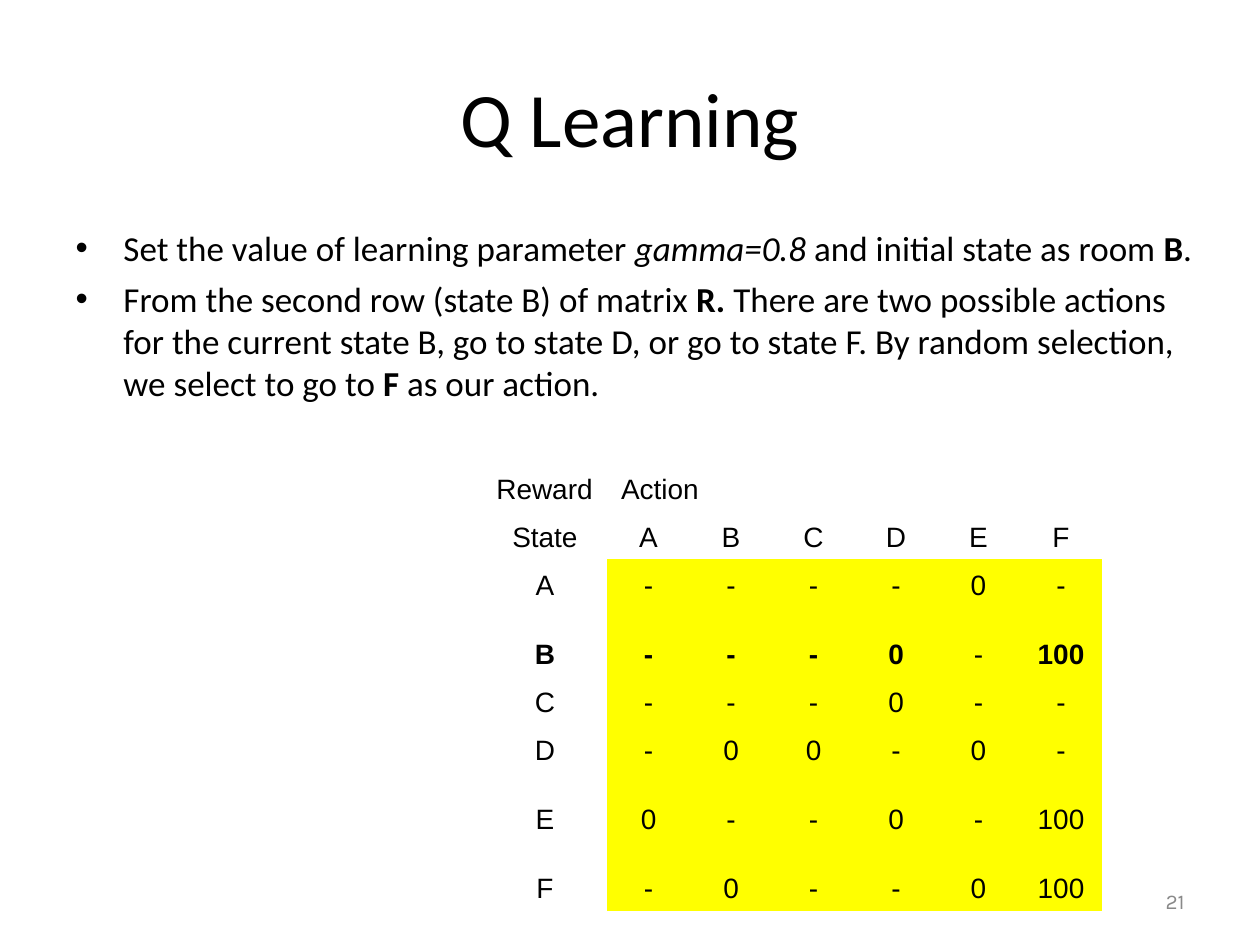
from dataclasses import dataclass
from typing import NamedTuple

from pptx import Presentation
from pptx import util as u
from pptx.dml.color import RGBColor
from pptx.enum import text as t
from pptx.oxml import ns
from lxml import etree


@dataclass(frozen=True)
class Theme:
    ink: str = "000000"
    grey: str = "898989"
    mark: str = "FFFF00"
    main: str = "Calibri"
    grid: str = "Arial"
    foot: str = "Karla"
    head: int = 44
    body: int = 20
    cell: int = 16
    page: int = 12


class Run(NamedTuple):
    text: str
    bold: bool = False
    italic: bool = False


class Box(NamedTuple):
    """Left, top, width and height as shares of the slide."""
    left: float
    top: float
    width: float
    height: float


THEME = Theme()
WIDE, HIGH = u.Inches(10), u.Inches(7.5)
NO_STYLE = "{2D5ABB26-0587-4C30-8999-92F81FD0307C}"
INDENT = u.Inches(0.38)

POINTS = [
    [Run("Set the value of learning parameter "), Run("gamma=0.8", italic=True),
     Run(" and initial state as room "), Run("B", bold=True), Run(".")],
    [Run("From the second row (state B) of matrix "), Run("R. ", bold=True),
     Run("There are two possible actions for the current state B, go to state D, "
         "or go to state F. By random selection, we select to go to "),
     Run("F", bold=True), Run(" as our action.")],
]

# Reward matrix: state, then one value for each action
REWARDS = [row.split() for row in (
    "State A B C D E F",
    "A - - - - 0 -",
    "B - - - 0 - 100",
    "C - - - 0 - -",
    "D - 0 0 - 0 -",
    "E 0 - - 0 - 100",
    "F - 0 - - 0 100",
)]
COLS = [0.99] + [0.655] * 6
ROWS = [0.64, 0.38, 0.38, 0.55, 0.38, 0.38, 0.55, 0.55]
BOLD_ROW, PLAIN_COL = 3, 5


def apply(item, **values) -> None:
    for name, value in values.items():
        setattr(item, name, value)


def place(shape, box: Box) -> None:
    apply(shape, left=int(box.left * WIDE), top=int(box.top * HIGH),
          width=int(box.width * WIDE), height=int(box.height * HIGH))


def write(para, runs: list[Run], face: str, size: int, color: str = THEME.ink) -> None:
    for part in runs:
        run = para.add_run()
        run.text = part.text
        apply(run.font, name=face, size=u.Pt(size), bold=part.bold, italic=part.italic)
        run.font.color.rgb = RGBColor.from_string(color)


def bullet(para) -> None:
    props = para._p.get_or_add_pPr()
    props.set("marL", str(INDENT))
    props.set("indent", str(-INDENT))
    color = etree.SubElement(props, ns.qn("a:buClr"))
    etree.SubElement(color, ns.qn("a:srgbClr"), val=THEME.ink)
    etree.SubElement(props, ns.qn("a:buFont"), typeface="Arial")
    etree.SubElement(props, ns.qn("a:buChar"), char="•")


def fill_cell(cell, value: str, align, bold: bool = False) -> None:
    apply(cell, vertical_anchor=t.MSO_ANCHOR.BOTTOM,
          margin_left=u.Inches(0.11), margin_right=u.Inches(0.11),
          margin_top=u.Inches(0.05), margin_bottom=u.Inches(0.05))
    para = cell.text_frame.paragraphs[0]
    para.alignment = align
    write(para, [Run(value, bold)], THEME.grid, THEME.cell)


def add_title(slide) -> None:
    title = slide.shapes.title
    place(title, Box(0.05, 0.04, 0.9, 1 / 6))
    title.text_frame.vertical_anchor = t.MSO_ANCHOR.MIDDLE
    para = title.text_frame.paragraphs[0]
    para.alignment = t.PP_ALIGN.CENTER
    write(para, [Run("Q Learning")], THEME.main, THEME.head)


def add_points(slide) -> None:
    body = slide.placeholders[1]
    place(body, Box(0.05, 0.2333, 0.908, 0.6773))
    frame = body.text_frame
    frame.auto_size = t.MSO_AUTO_SIZE.NONE
    for i, runs in enumerate(POINTS):
        para = frame.add_paragraph() if i else frame.paragraphs[0]
        para.space_before = u.Pt(5 if i else 0)
        bullet(para)
        write(para, runs, THEME.main, THEME.body)


def add_rewards(slide) -> None:
    frame = slide.shapes.add_table(len(ROWS), len(COLS), 0, 0, WIDE, HIGH)
    place(frame, Box(0.383, 0.456, 0.492, 0.5067))
    table = frame.table
    apply(table, first_row=False, horz_banding=False)
    table._tbl.tblPr.find(ns.qn("a:tableStyleId")).text = NO_STYLE
    for col, width in zip(table.columns, COLS):
        col.width = u.Inches(width)
    for row, height in zip(table.rows, ROWS):
        row.height = u.Inches(height)

    # Heading row, with "Action" over two columns
    table.cell(0, 1).merge(table.cell(0, 2))
    for c, name in enumerate(("Reward", "Action")):
        fill_cell(table.cell(0, c), name, t.PP_ALIGN.LEFT)

    # States and values
    for r, row in enumerate(REWARDS, 1):
        for c, value in enumerate(row):
            cell = table.cell(r, c)
            fill_cell(cell, value, t.PP_ALIGN.CENTER, r == BOLD_ROW and c != PLAIN_COL)
            if r > 1 and c:
                cell.fill.solid()
                cell.fill.fore_color.rgb = RGBColor.from_string(THEME.mark)


def add_page(slide) -> None:
    box = slide.shapes.add_textbox(0, 0, WIDE, HIGH)
    place(box, Box(0.717, 0.9267, 0.233, 0.0533))
    apply(box.text_frame, word_wrap=True, vertical_anchor=t.MSO_ANCHOR.MIDDLE)
    para = box.text_frame.paragraphs[0]
    para.alignment = t.PP_ALIGN.RIGHT
    write(para, [Run("21")], THEME.foot, THEME.page, THEME.grey)


def main() -> None:
    deck = Presentation()
    apply(deck, slide_width=WIDE, slide_height=HIGH)
    slide = deck.slides.add_slide(deck.slide_layouts[1])
    for draw in (add_title, add_points, add_page, add_rewards):
        draw(slide)
    deck.save("out.pptx")


if __name__ == "__main__":
    main()
